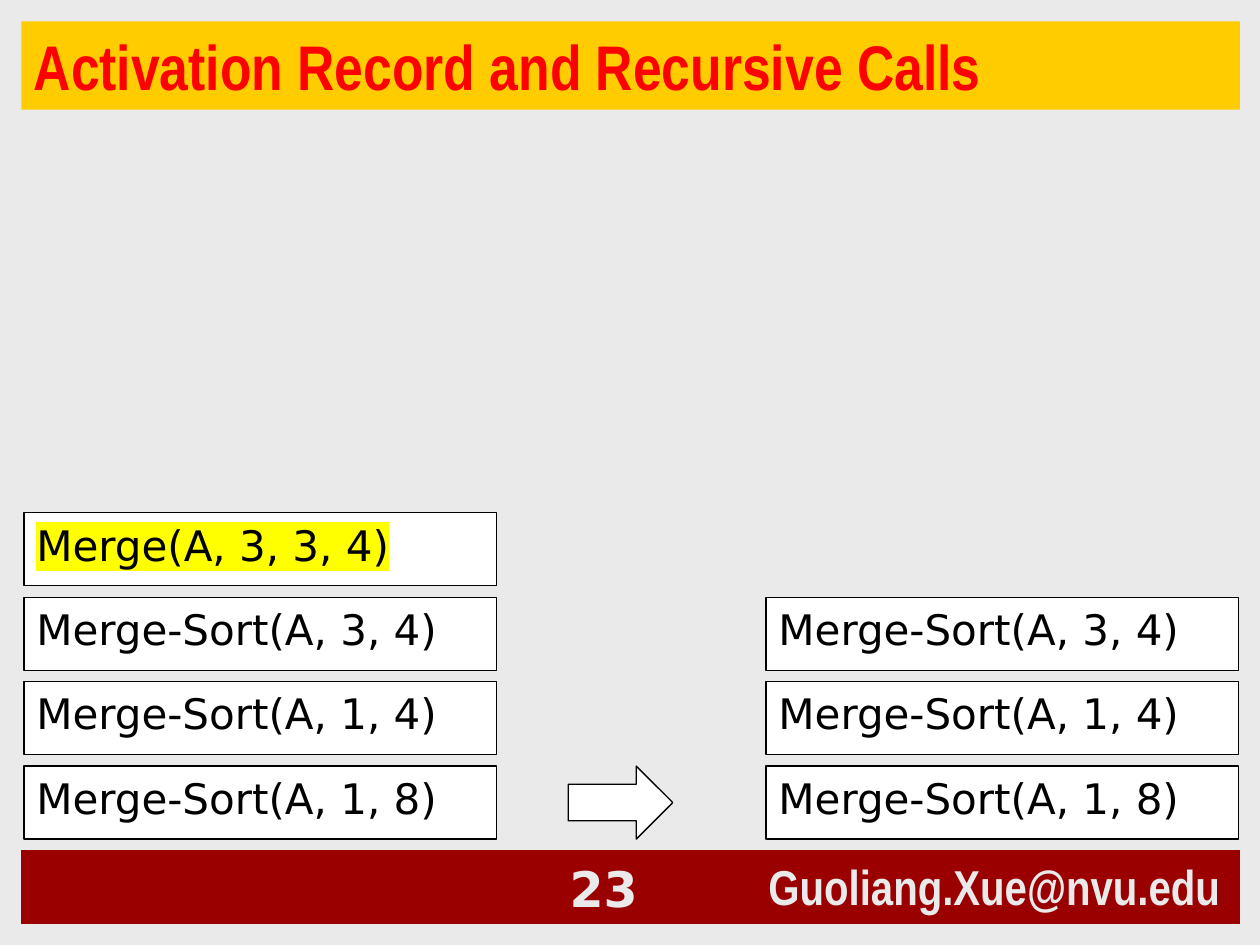
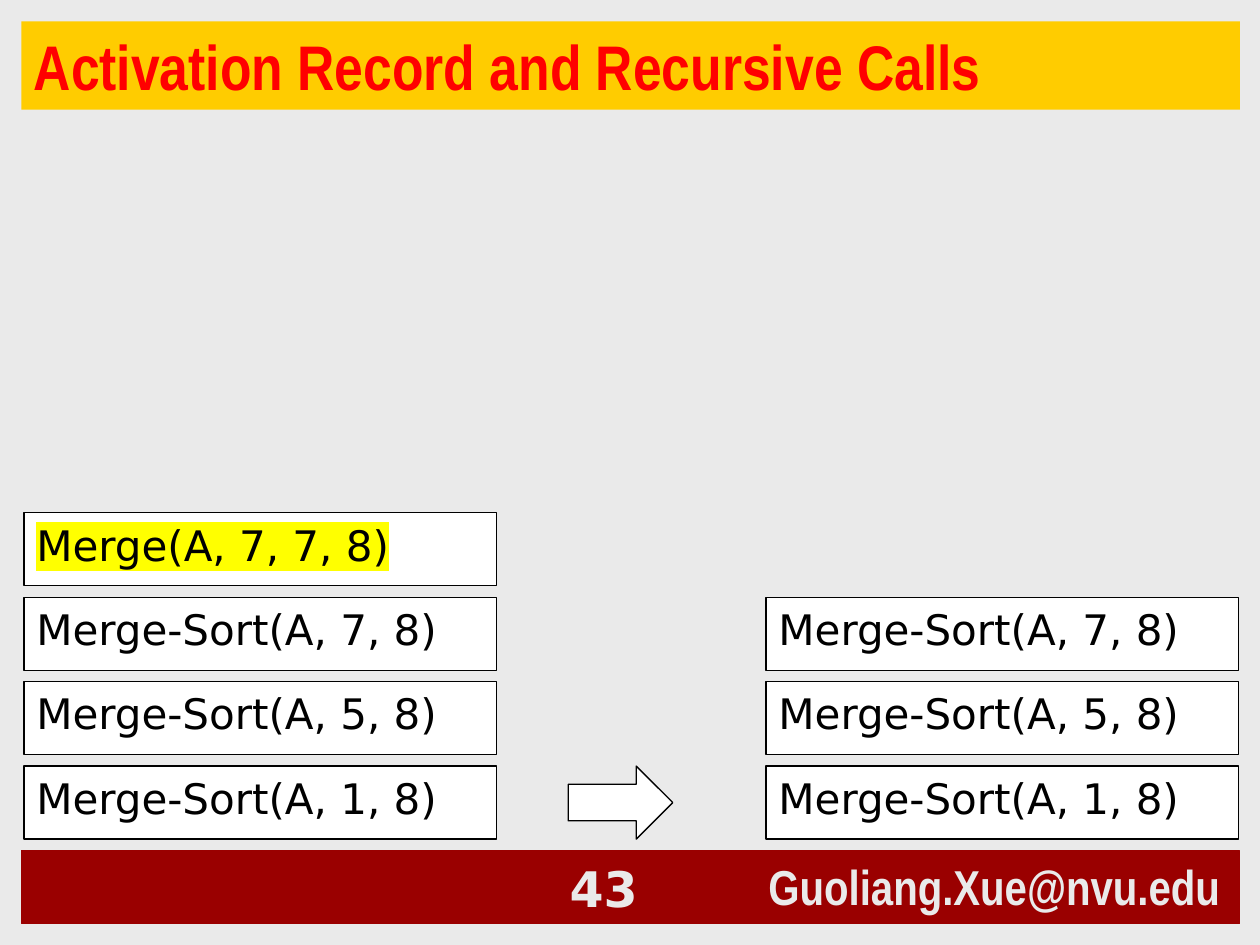
from dataclasses import dataclass, field

from lxml import etree
from pptx import Presentation
from pptx import util as u
from pptx.dml.color import RGBColor
from pptx.enum import shapes, text

WIDE, HIGH = 10, 7.5
HUES = {"page": "EAEAEA", "band": "9A0000", "gold": "FFCC00", "red": "FF0000",
        "white": "FFFFFF", "black": "000000", "mark": "FFFF00"}
NS = "http://schemas.openxmlformats.org/drawingml/2006/main"
RECT = shapes.MSO_SHAPE.RECTANGLE
ARROW = shapes.MSO_SHAPE.RIGHT_ARROW

# Stack grid: column lefts, base row, row pitch and cell size in inches
LEFT, RIGHT = 0.19, 6.08
BASE, PITCH = 6.08, 0.67
CELL = (3.75, 0.58)


@dataclass
class Style:
    """Text format: font values, frame values and alignment."""
    hue: str
    font: dict
    frame: dict = field(default_factory=dict)
    align: int = text.PP_ALIGN.LEFT


@dataclass
class Step:
    """One moment of the recursion: page number and calls, bottom up."""
    page: int
    calls: list
    merge: str


BOTTOM = {"vertical_anchor": text.MSO_ANCHOR.BOTTOM, "word_wrap": True}
TOP = {"vertical_anchor": text.MSO_ANCHOR.TOP}
TITLE = Style("red", {"name": "Arial Narrow", "size": u.Pt(36), "bold": True}, BOTTOM)
MAIL = Style("page", {"name": "Arial Narrow", "size": u.Pt(28), "bold": True},
             TOP | {"word_wrap": True})
PAGE = Style("page", {"name": "DejaVu Sans", "size": u.Pt(28), "bold": True},
             BOTTOM, text.PP_ALIGN.RIGHT)
CALL = Style("black", {"name": "DejaVu Sans", "size": u.Pt(24)},
             TOP | {"word_wrap": False})

STEPS = [
    Step(23, ["Merge-Sort(A, 1, 8)", "Merge-Sort(A, 1, 4)", "Merge-Sort(A, 3, 4)"],
         "Merge(A, 3, 3, 4)"),
    Step(43, ["Merge-Sort(A, 1, 8)", "Merge-Sort(A, 5, 8)", "Merge-Sort(A, 7, 8)"],
         "Merge(A, 7, 7, 8)"),
]


def tint(key: str) -> RGBColor:
    return RGBColor.from_string(HUES[key])


def apply(thing, values: dict) -> None:
    for key, value in values.items():
        setattr(thing, key, value)


def write(shape, words: str, style: Style, mark: str = "") -> None:
    frame = shape.text_frame
    apply(frame, style.frame)
    para = frame.paragraphs[0]
    para.alignment = style.align
    run = para.add_run()
    run.text = words
    run.font.color.rgb = tint(style.hue)
    apply(run.font, style.font)
    if mark:
        fill = run.font._element.find(f"{{{NS}}}solidFill")
        light = etree.Element(f"{{{NS}}}highlight")
        etree.SubElement(light, f"{{{NS}}}srgbClr", val=HUES[mark])
        fill.addnext(light)


def draw(slide, box: tuple, fill: str, line: str = "", kind=RECT):
    shape = slide.shapes.add_shape(kind, *(u.Inches(n) for n in box))
    shape.shadow.inherit = False
    shape.fill.solid()
    shape.fill.fore_color.rgb = tint(fill)
    if line:
        shape.line.color.rgb = tint(line)
        shape.line.width = u.Pt(0.75)
    else:
        shape.line.fill.background()
    return shape


def base(deck, page: int):
    """Add a slide with its background, footer band and title."""
    slide = deck.slides.add_slide(deck.slide_layouts[6])
    slide.background.fill.solid()
    slide.background.fill.fore_color.rgb = tint("page")
    draw(slide, (0.17, 6.75, 9.67, 0.58), "band", "band")
    write(draw(slide, (6, 6.75, 3.83, 0.57), "band"), "Guoliang.Xue@nvu.edu", MAIL)
    write(draw(slide, (4.08, 6.75, 1.08, 0.58), "band", "band"), str(page), PAGE)
    write(draw(slide, (0.17, 0.17, 9.67, 0.7), "gold"),
          "Activation Record and Recursive Calls", TITLE)
    return slide


def stack(slide, left: float, calls: list, merge: str = "") -> None:
    """Pile call boxes upwards from the base row, the merge on top."""
    for row, call in enumerate(calls + [merge] * bool(merge)):
        cell = draw(slide, (left, BASE - row * PITCH, *CELL), "white", "black")
        write(cell, call, CALL, "mark" if call == merge else "")


deck = Presentation()
deck.slide_width, deck.slide_height = u.Inches(WIDE), u.Inches(HIGH)

for step in STEPS:
    slide = base(deck, step.page)
    stack(slide, LEFT, step.calls, step.merge)
    draw(slide, (4.51, BASE, 0.83, CELL[1]), "white", "black", ARROW)
    stack(slide, RIGHT, step.calls)

deck.save("out.pptx")
